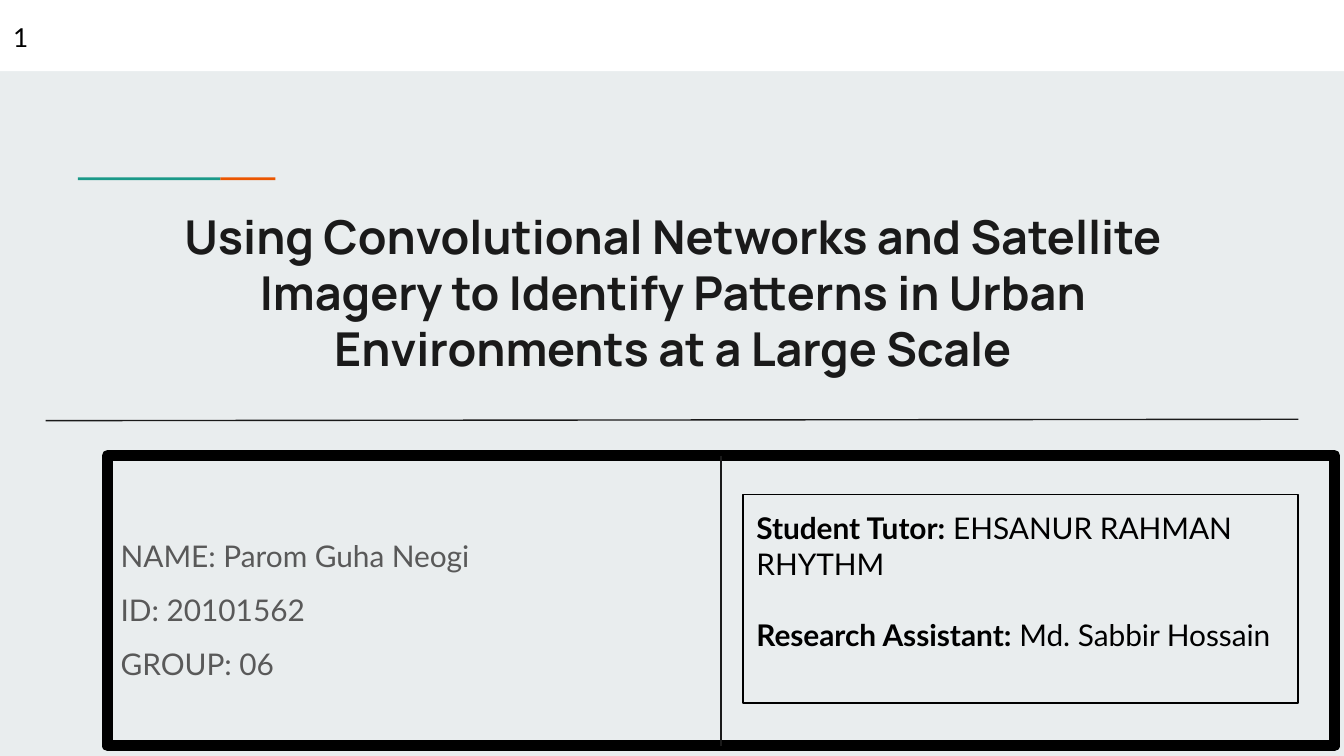
from typing import NamedTuple

import pptx
import pptx.dml.color
import pptx.enum.shapes
import pptx.enum.text
import pptx.oxml.ns
import pptx.util
from pptx.util import Inches

INK, BLACK, GREY = "1A1A1A", "000000", "595959"
TEAL, ORANGE, WHITE, PALE = "1A9988", "EB5600", "FFFFFF", "E9EDEE"
ALIGN = pptx.enum.text.PP_ALIGN
ANCHOR = pptx.enum.text.MSO_ANCHOR


class Box(NamedTuple):
    left: float
    top: float
    width: float
    height: float


class Bar(NamedTuple):
    box: Box
    color: str


class Person(NamedTuple):
    role: str
    name: str


BARS = [
    Bar(Box(0, 0, 10, 0.53), WHITE),
    Bar(Box(0.58, 1.32, 1.06, 0.02), TEAL),
    Bar(Box(1.64, 1.32, 0.41, 0.02), ORANGE),
]
TITLE = ("Using Convolutional Networks and Satellite Imagery to Identify "
         "Patterns in Urban Environments at a Large Scale")
AUTHOR = ["NAME: Parom Guha Neogi", "ID: 20101562", "GROUP: 06"]
STAFF = [
    Person("Student Tutor:", "EHSANUR RAHMAN RHYTHM"),
    Person("Research Assistant:", "Md. Sabbir Hossain"),
]


def rgb(color: str):
    return pptx.dml.color.RGBColor.from_string(color)


def add_rect(s, box: Box, fill: str = "", line: str = "", weight: float = 0.75):
    sp = s.shapes.add_shape(pptx.enum.shapes.MSO_SHAPE.RECTANGLE, *map(Inches, box))
    sp.shadow.inherit = False
    if fill:
        sp.fill.solid()
        sp.fill.fore_color.rgb = rgb(fill)
    else:
        sp.fill.background()
    if line:
        sp.line.color.rgb = rgb(line)
        sp.line.width = pptx.util.Pt(weight)
    else:
        sp.line.fill.background()
    return sp


def add_line(s, x1: float, y1: float, x2: float, y2: float):
    cn = s.shapes.add_connector(
        pptx.enum.shapes.MSO_CONNECTOR.STRAIGHT, *map(Inches, (x1, y1, x2, y2)))
    cn.line.color.rgb = rgb(INK)
    cn.line.width = pptx.util.Pt(0.75)
    sp_pr = cn._element.spPr
    sp_pr.append(sp_pr.makeelement(pptx.oxml.ns.qn("a:effectLst"), {}))
    return cn


def set_frame(sp, anchor=ANCHOR.TOP, bottom: float = 0.1):
    tf = sp.text_frame
    tf.word_wrap = True
    tf.vertical_anchor = anchor
    tf.margin_left = tf.margin_right = tf.margin_top = Inches(0.1)
    tf.margin_bottom = Inches(bottom)
    return tf


def add_text(p, text: str, *, size: float = 16, font: str = "Lato",
             color: str = BLACK, bold: bool = False, align=ALIGN.LEFT) -> None:
    """Append a formatted run to paragraph p."""
    p.alignment = align
    r = p.add_run()
    r.text = text
    r.font.size = pptx.util.Pt(size)
    r.font.name = font
    r.font.bold = bold
    r.font.color.rgb = rgb(color)


def main() -> None:
    prs = pptx.Presentation()
    prs.slide_width = Inches(10)
    prs.slide_height = prs.slide_width * 9 // 16
    s = prs.slides.add_slide(prs.slide_layouts[6])
    s.background.fill.solid()
    s.background.fill.fore_color.rgb = rgb(PALE)

    for bar in BARS:
        add_rect(s, bar.box, fill=bar.color)

    title = s.shapes.add_textbox(*map(Inches, Box(0.8, 1.45, 8.41, 1.82)))
    add_text(set_frame(title).paragraphs[0], TITLE, size=25, font="Manrope",
             color=INK, bold=True, align=ALIGN.CENTER)

    author = add_rect(s, Box(0.8, 3.39, 9.13, 2.16), line=BLACK, weight=6)
    p = set_frame(author, ANCHOR.MIDDLE).paragraphs[0]
    p.line_spacing = 1.5
    for i, text in enumerate(AUTHOR):
        if i:
            p.add_line_break()
        add_text(p, text, color=GREY)

    add_line(s, 0.34, 3.13, 9.66, 3.12)
    divider = add_line(s, 5.36, 3.39, 5.36, 5.55)
    divider.begin_connect(author, 0)
    divider.end_connect(author, 2)

    staff = add_rect(s, Box(5.53, 3.68, 4.13, 1.55), line=BLACK)
    tf = set_frame(staff, ANCHOR.MIDDLE, bottom=0.36)
    for i, person in enumerate(STAFF):
        p = tf.add_paragraph() if i else tf.paragraphs[0]
        if i:
            p.space_before = pptx.util.Pt(19.2)
        add_text(p, person.role, bold=True)
        add_text(p, f" {person.name}")

    number = s.shapes.add_textbox(*map(Inches, Box(0, 0.06, 0.54, 0.44)))
    add_text(set_frame(number).paragraphs[0], "1", size=14)

    prs.save("out.pptx")


if __name__ == "__main__":
    main()
